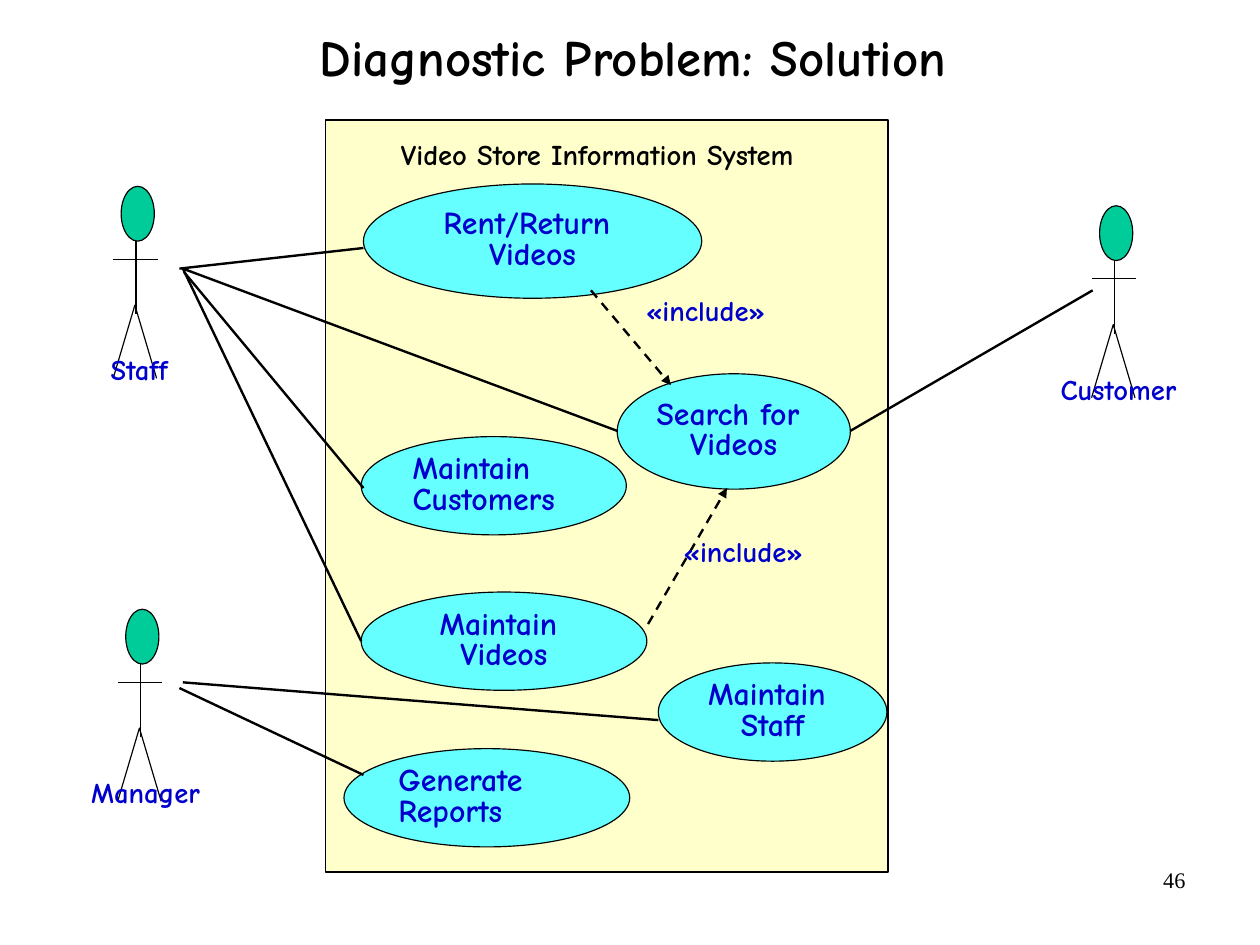
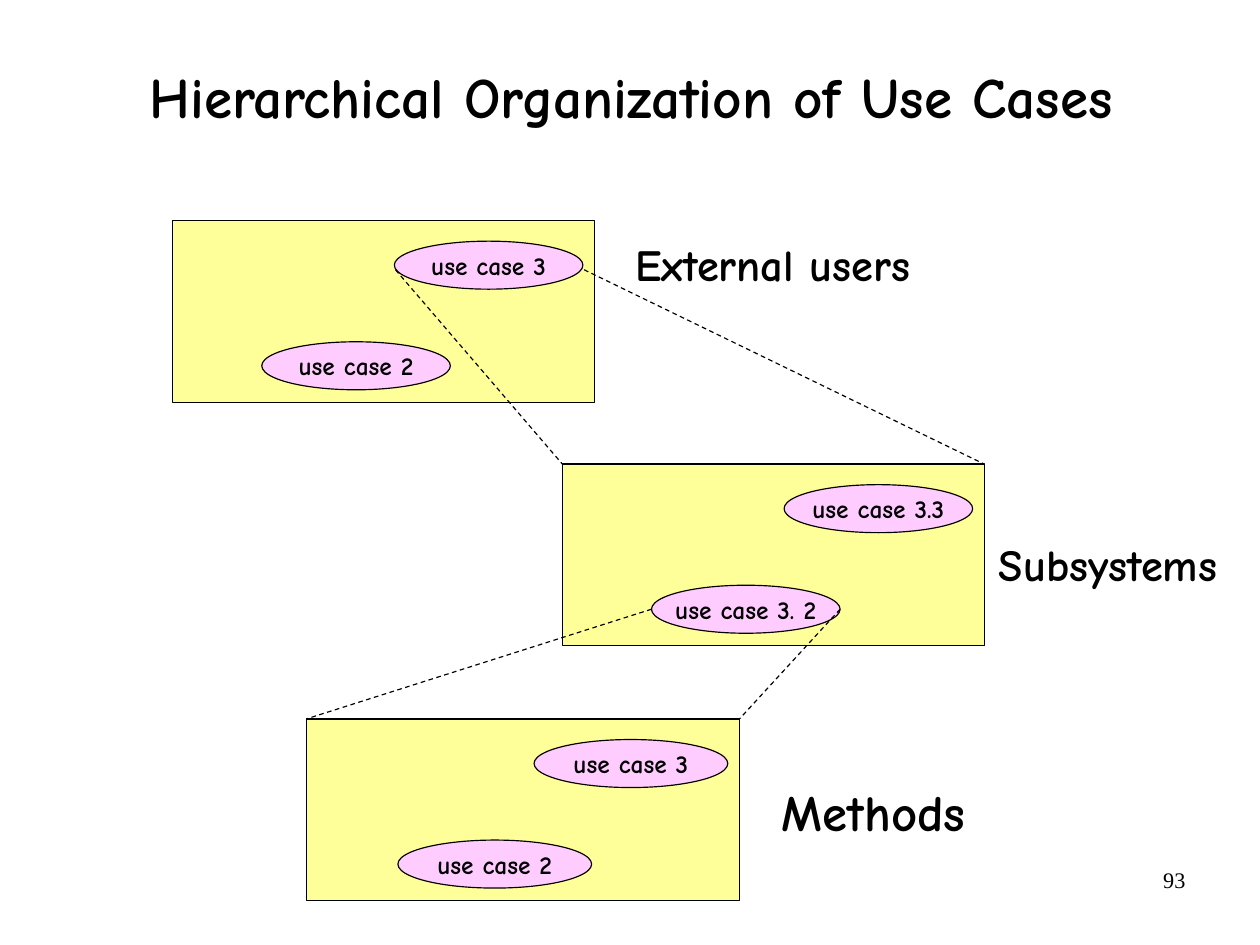
from pptx import Presentation
from pptx.dml.color import RGBColor
from pptx.enum.dml import MSO_LINE
from pptx.enum.shapes import MSO_CONNECTOR, MSO_SHAPE
from pptx.enum.text import MSO_ANCHOR, MSO_AUTO_SIZE, PP_ALIGN
from pptx.oxml.ns import qn
from pptx.util import Cm, Inches, Pt
from lxml.etree import SubElement

BLACK = RGBColor(0x00, 0x00, 0x00)
BLUE = RGBColor(0x00, 0x00, 0xCC)
CYAN = RGBColor(0x66, 0xFF, 0xFF)
GREEN = RGBColor(0x00, 0xCC, 0x99)
CREAM = RGBColor(0xFF, 0xFF, 0xCC)
YELLOW = RGBColor(0xFF, 0xFF, 0x99)
PINK = RGBColor(0xFF, 0xCC, 0xFF)
BODY_FONT = "Comic Neue"
NUMBER_FONT = "Times New Roman"
TITLE_ONLY = 5
PANEL_WIDTH, PANEL_HEIGHT = 3.69, 1.59


def box(left, top, width, height):
    return Inches(left), Inches(top), Inches(width), Inches(height)


def set_text(shape, lines, size, color=BLACK, align=PP_ALIGN.LEFT, spacing=1.0,
             insets=(0, 0), anchor=MSO_ANCHOR.TOP, wrap=True, font=BODY_FONT):
    frame = shape.text_frame
    frame.auto_size = MSO_AUTO_SIZE.NONE
    frame.word_wrap = wrap
    frame.vertical_anchor = anchor
    frame.margin_left = frame.margin_right = Inches(insets[0])
    frame.margin_top = frame.margin_bottom = Inches(insets[1])
    frame.text = "\n".join(lines)
    for paragraph in frame.paragraphs:
        paragraph.alignment = align
        paragraph.line_spacing = spacing
        paragraph.font.name = font
        paragraph.font.size = Pt(size)
        paragraph.font.bold = font == BODY_FONT
        paragraph.font.color.rgb = color


def add_text(shapes, bounds, text, size, **style):
    text_box = shapes.add_textbox(*box(*bounds))
    set_text(text_box, [text], size, **style)


def outline(shape):
    shape.shadow.inherit = False
    shape.line.color.rgb = BLACK
    shape.line.width = Pt(0.75)


def add_filled(shapes, kind, bounds, color):
    shape = shapes.add_shape(kind, *box(*bounds))
    shape.fill.solid()
    shape.fill.fore_color.rgb = color
    outline(shape)
    return shape


def add_line(shapes, start, end, width=0.75, dashed=False, arrow=False):
    connector = shapes.add_connector(MSO_CONNECTOR.STRAIGHT, *box(*start, *end))
    connector.line.color.rgb = BLACK
    connector.line.width = Pt(width)
    if dashed:
        connector.line.dash_style = MSO_LINE.DASH
    properties = connector.element.spPr
    if arrow:
        SubElement(properties.find(qn("a:ln")), qn("a:tailEnd"), type="triangle")
    SubElement(properties, qn("a:effectLst"))


def add_titled_slide(presentation, title, bounds, size, spacing, number):
    slide = presentation.slides.add_slide(presentation.slide_layouts[TITLE_ONLY])
    placeholder = slide.shapes.title
    placeholder.left, placeholder.top, placeholder.width, placeholder.height = box(*bounds)
    set_text(placeholder, [title], size, align=PP_ALIGN.CENTER, spacing=spacing,
             anchor=MSO_ANCHOR.MIDDLE)
    add_text(slide.shapes, (7.9, 7.53, 2.57, 0.57), number, 14, align=PP_ALIGN.RIGHT,
             insets=(0.1, 0.05), font=NUMBER_FONT)
    return slide


def add_actor(slide, left, top, name, label_left, label_width):
    shapes = slide.shapes.add_group_shape().shapes
    middle = left + 0.2
    add_filled(shapes, MSO_SHAPE.OVAL, (left + 0.07, top, 0.29, 0.48), GREEN)
    add_line(shapes, (middle, top + 0.48), (middle, top + 1.12))
    add_line(shapes, (left, top + 0.64), (left + 0.39, top + 0.64))
    builder = shapes.build_freeform(Inches(left), Inches(top + 1.68))
    builder.add_line_segments(
        [(Inches(left + 0.19), Inches(top + 1.04)), (Inches(left + 0.38), Inches(top + 1.68))],
        close=False)
    legs = builder.convert_to_shape()
    legs.fill.background()
    outline(legs)
    add_text(shapes, (label_left, top + 1.46, label_width, 0.34), name, 18,
             color=BLUE, spacing=0.8, insets=(0.1, 0.05))


def add_use_case(slide, bounds, lines, align=PP_ALIGN.CENTER):
    ellipse = add_filled(slide.shapes, MSO_SHAPE.OVAL, bounds, CYAN)
    set_text(ellipse, lines, 20, color=BLUE, align=align, spacing=0.8,
             insets=(0.11, 0.05), anchor=MSO_ANCHOR.MIDDLE, wrap=False)


def add_include(slide, start, end, label_left, label_top):
    add_line(slide.shapes, start, end, 1.5, dashed=True, arrow=True)
    add_text(slide.shapes, (label_left, label_top, 1.36, 0.35), "«include»", 18,
             color=BLUE, spacing=0.8, insets=(0.11, 0.05))


def add_panel(slide, left, top, lower_case, upper_case, width=PANEL_WIDTH):
    scale = width / PANEL_WIDTH
    add_filled(slide.shapes, MSO_SHAPE.RECTANGLE, (left, top, width, PANEL_HEIGHT), YELLOW)
    for text, across, down in ((lower_case, 0.78, 1.06), (upper_case, 1.94, 0.18)):
        bounds = (left + across * scale, top + down, 1.65 * scale, 0.42)
        ellipse = add_filled(slide.shapes, MSO_SHAPE.OVAL, bounds, PINK)
        set_text(ellipse, [text], 16, align=PP_ALIGN.CENTER,
                 anchor=MSO_ANCHOR.MIDDLE, wrap=False)


def build_solution(presentation):
    slide = add_titled_slide(presentation, "Diagnostic Problem: Solution",
                             (0.84, -0.16, 9.4, 1.37), 32, 0.88, "46")
    add_filled(slide.shapes, MSO_SHAPE.RECTANGLE, (2.85, 1.05, 4.92, 6.58), CREAM)
    add_text(slide.shapes, (2.6, 0.68, 5.25, 1.37), "Video Store Information System", 18,
             align=PP_ALIGN.CENTER, spacing=0.88, anchor=MSO_ANCHOR.MIDDLE)

    add_use_case(slide, (3.18, 1.61, 2.96, 1), ["Rent/Return ", "Videos"])
    add_use_case(slide, (5.4, 3.27, 2.04, 1.01), ["Search for ", "Videos"])
    add_use_case(slide, (3.16, 3.82, 2.32, 0.86), ["Maintain", "Customers"], PP_ALIGN.LEFT)
    add_use_case(slide, (3.16, 5.18, 2.5, 0.86), ["Maintain ", "Videos"])
    add_use_case(slide, (5.76, 5.8, 2, 0.86), ["Maintain ", "Staff"])
    add_use_case(slide, (3.01, 6.55, 2.5, 0.86), ["Generate", "Reports"], PP_ALIGN.LEFT)

    add_actor(slide, 0.99, 1.63, "Staff", 0.87, 0.89)
    add_actor(slide, 9.55, 1.8, "Customer", 9.18, 1.32)
    add_actor(slide, 1.03, 5.33, "Manager", 0.7, 1.23)

    associations = [
        ((1.57, 2.35), (3.18, 2.17)),
        ((1.6, 2.35), (5.4, 3.77)),
        ((1.61, 2.38), (3.18, 4.27)),
        ((1.6, 2.35), (3.16, 5.61)),
        ((1.6, 5.97), (5.76, 6.3)),
        ((1.57, 6.02), (3.18, 6.78)),
        ((7.44, 3.77), (9.56, 2.54)),
    ]
    for start, end in associations:
        add_line(slide.shapes, start, end, 1.5)
    add_include(slide, (5.17, 2.54), (5.87, 3.37), 5.54, 2.57)
    add_include(slide, (5.67, 5.46), (6.36, 4.27), 5.87, 4.68)


def build_hierarchy(presentation):
    slide = add_titled_slide(presentation, "Hierarchical Organization of Use Cases ",
                             (0.46, 0.12, 10.3, 1.49), 36, 0.94, "93")
    add_panel(slide, 1.51, 1.93, "use case 2", "use case 3")
    add_panel(slide, 4.92, 4.06, "use case 3. 2", "use case 3.3")
    add_panel(slide, 2.68, 6.29, "use case 2", "use case 3", width=3.79)

    expansions = [
        ((3.46, 2.36), (4.92, 4.06)),
        ((5.11, 2.36), (8.61, 4.06)),
        ((5.7, 5.33), (2.68, 6.29)),
        ((7.35, 5.33), (6.47, 6.29)),
    ]
    for start, end in expansions:
        add_line(slide.shapes, start, end, dashed=True)

    add_text(slide.shapes, (5.56, 2.07, 2.76, 0.47), "External users", 28)
    add_text(slide.shapes, (8.74, 4.7, 2.21, 0.47), "Subsystems", 28)
    add_text(slide.shapes, (6.84, 6.83, 1.84, 0.54), "Methods", 32)


def main():
    presentation = Presentation()
    presentation.slide_width = Cm(28)
    presentation.slide_height = Cm(21)
    build_solution(presentation)
    build_hierarchy(presentation)
    presentation.save("out.pptx")


if __name__ == "__main__":
    main()
